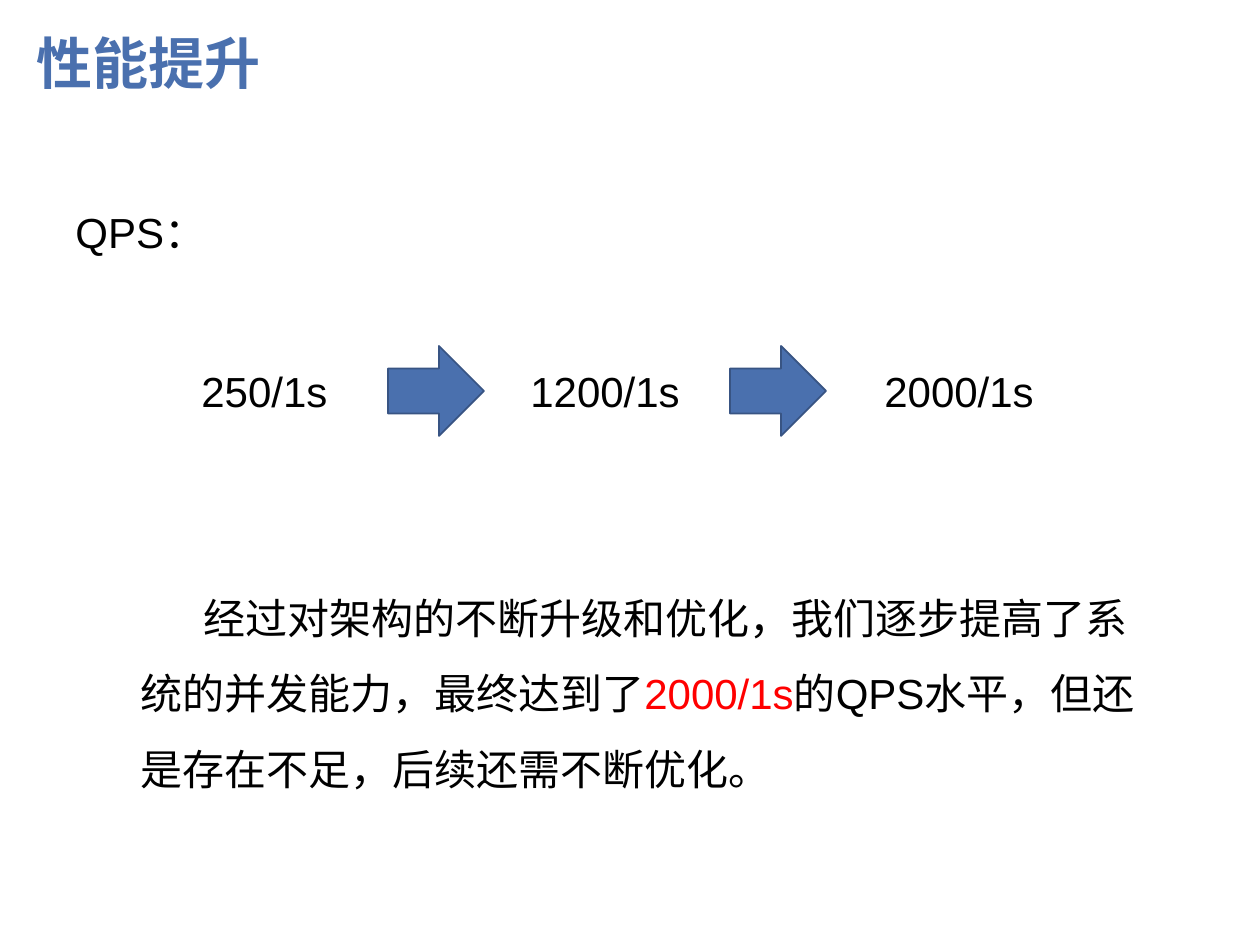
from pptx import Presentation
from pptx.dml.color import RGBColor
from pptx.enum.shapes import MSO_SHAPE as Shape
from pptx.enum.text import MSO_ANCHOR as Anchor, MSO_AUTO_SIZE as Fit, PP_ALIGN as Align
from pptx.util import Emu, Pt

PX = 914400 // 126
BLUE, EDGE, BLACK, RED = "4A70AE", "385483", "000000", "FF0000"


def px(*sizes):
    return [Emu(size * PX) for size in sizes]


def color(code):
    return RGBColor.from_string(code)


def style(font, size, name, code, bold=False):
    font.size, font.name, font.bold = Pt(size), name, bold
    font.color.rgb = color(code)


def title(slide, box, text):
    head = slide.shapes.title
    head.left, head.top, head.width, head.height = px(*box)
    frame = head.text_frame
    frame.text = text
    frame.auto_size = Fit.NONE
    frame.vertical_anchor = Anchor.MIDDLE
    para = frame.paragraphs[0]
    para.alignment, para.line_spacing = Align.LEFT, 0.9
    style(para.font, 32, "Montserrat", BLUE, True)


def label(slide, box, *parts):
    """Add a wrapped text box with one run per (text, colour) part."""
    frame = slide.shapes.add_textbox(*px(*box)).text_frame
    frame.word_wrap = True
    para = frame.paragraphs[0]
    for text, code in parts:
        run = para.add_run()
        run.text = text
        style(run.font, 24, "Arial", code)
    return para


def arrow(slide, box):
    shape = slide.shapes.add_shape(Shape.RIGHT_ARROW, *px(*box))
    shape.shadow.inherit = False
    shape.fill.solid()
    shape.fill.fore_color.rgb = color(BLUE)
    shape.line.color.rgb = color(EDGE)
    shape.line.width = Pt(1)


def flow(slide, box, steps):
    """Place rates at their offsets, with an arrow before each later rate."""
    left, top, width, height = box
    for shift, text in steps:
        label(slide, (left + shift, top + 13, 200, 63), (text, BLACK))
    for shift in (199, 541):
        arrow(slide, (left + shift, top, 96, height))


def summary(slide, box):
    para = label(
        slide, box,
        ("经过对架构的不断升级和优化，我们逐步提高了系统的并发能力，最终达到了", BLACK),
        ("2000/1s", RED),
        ("的QPS水平，但还是存在不足，后续还需不断优化。", BLACK))
    para.line_spacing = 1.5
    para._p.get_or_add_pPr().set("indent", str(63 * PX))


def main():
    deck = Presentation()
    deck.slide_width, deck.slide_height = px(1260, 945)
    slide = deck.slides.add_slide(deck.slide_layouts[5])
    title(slide, (24, 28, 1086, 76), "性能提升")
    label(slide, (63, 200, 420, 115), ("QPS：", BLACK))
    flow(slide, (189, 346, 914, 90),
         [(0, "250/1s"), (329, "1200/1s"), (683, "2000/1s")])
    summary(slide, (128, 561, 1022, 242))
    deck.save("out.pptx")


if __name__ == "__main__":
    main()
